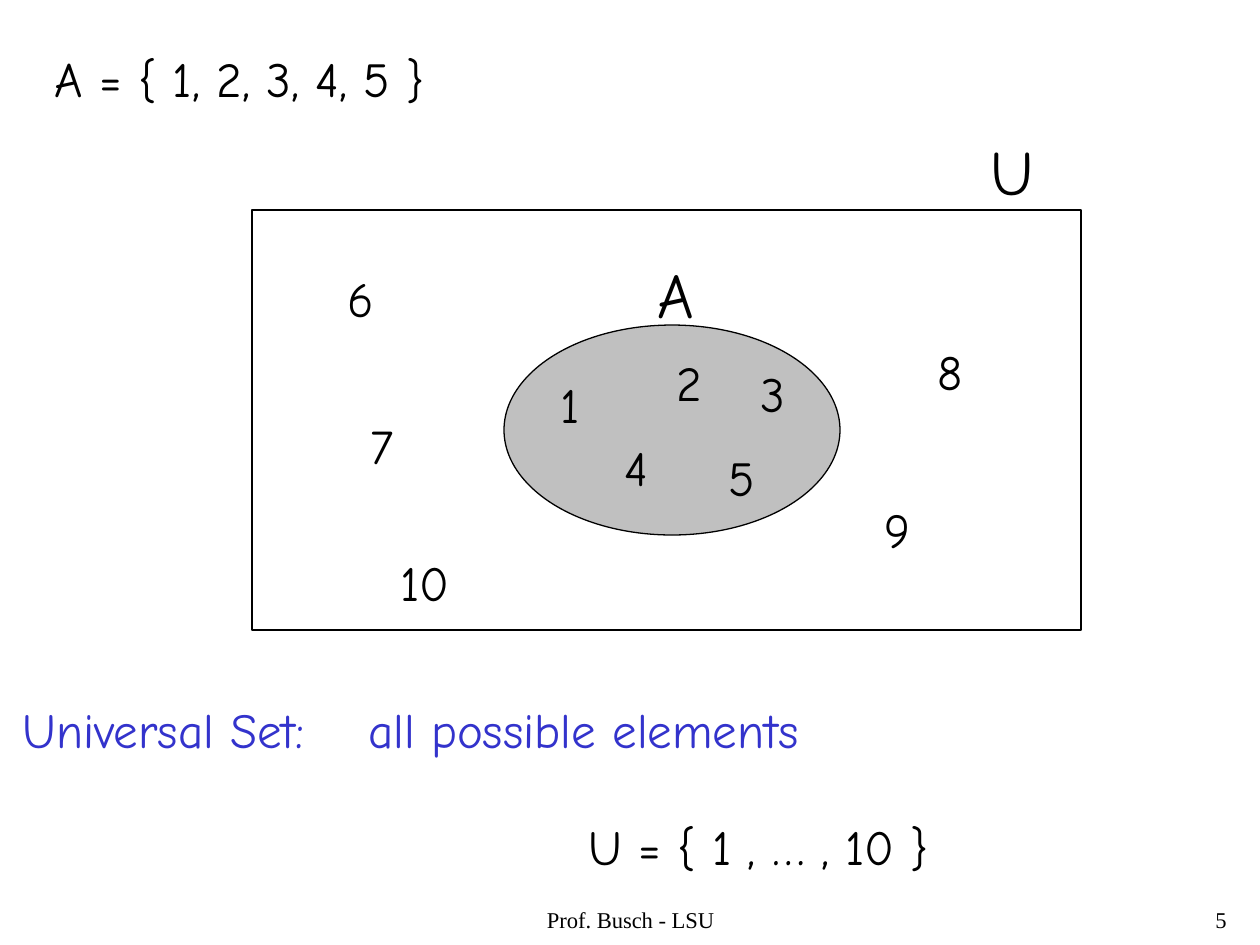
from lxml import etree
from pptx import Presentation
from pptx import util as u
from pptx.dml.color import RGBColor
from pptx.enum import shapes, text
from pptx.oxml.ns import qn

THEME = {
    "ink": RGBColor(0x00, 0x00, 0x00),
    "accent": RGBColor(0x33, 0x33, 0xCC),
    "set_fill": RGBColor(0xC0, 0xC0, 0xC0),
    "body_font": "Comic Neue",
    "footer_font": "Times New Roman",
    "element_size": 28,
    "label_size": 36,
    "footer_size": 12.9,
    "outline": 0.75,
}


def px(n):
    return u.Emu(round(n * 914400 / 126))


def add_text(box, words, size=THEME["element_size"], font=THEME["body_font"], wrap=False):
    """Add a text box at box (left, top, width, height in px), one paragraph per line of words."""
    frame = slide.shapes.add_textbox(*map(px, box)).text_frame
    frame.word_wrap = wrap
    frame.text = words
    for paragraph in frame.paragraphs:
        for run in paragraph.runs:
            run.font.name = font
            run.font.size = u.Pt(size)
            run.font.color.rgb = THEME["ink"]
    return frame


prs = Presentation()
prs.slide_width, prs.slide_height = px(1260), px(945)
slide = prs.slides.add_slide(prs.slide_layouts[6])

# Footer
for box, words, align in [
    ((431, 903, 399, 42), "Prof. Busch - LSU", text.PP_ALIGN.CENTER),
    ((977, 903, 262, 42), "5", text.PP_ALIGN.RIGHT),
]:
    footer = add_text(box, words, THEME["footer_size"], THEME["footer_font"], wrap=True)
    footer.paragraphs[0].alignment = align
    footer.paragraphs[0].line_spacing = 0.9

# Set definitions
add_text((42, 42, 1134, 72), "A = { 1, 2, 3, 4, 5 }", wrap=True)

universal = add_text(
    (10, 693, 1000, 189),
    "Universal Set:\tall possible elements\nU = { 1 , … , 10 }",
    wrap=True,
)
definition, members = universal.paragraphs
tabs = etree.SubElement(definition._p.get_or_add_pPr(), qn("a:tabLst"))
etree.SubElement(tabs, qn("a:tab"), pos=str(px(346)), algn="l")
for run in definition.runs:
    run.font.color.rgb = THEME["accent"]
members._p.get_or_add_pPr().set("marL", str(px(566)))
members.space_before = u.Pt(33.5)

# Venn diagram
set_a = slide.shapes.add_shape(shapes.MSO_SHAPE.OVAL, px(504), px(325), px(336), px(210))
set_a.fill.solid()
set_a.fill.fore_color.rgb = THEME["set_fill"]
universe = slide.shapes.add_shape(shapes.MSO_SHAPE.RECTANGLE, px(252), px(210), px(829), px(420))
universe.fill.background()
for outline in (set_a, universe):
    outline.shadow.inherit = False
    outline.line.color.rgb = THEME["ink"]
    outline.line.width = u.Pt(THEME["outline"])

for name, left, top, width in [("A", 645, 249, 62), ("U", 978, 126, 68)]:
    add_text((left, top, width, 88), name, THEME["label_size"])

for element, left, top, width in [
    (1, 548, 368, 44),
    (2, 664, 346, 50),
    (3, 748, 357, 49),
    (4, 612, 431, 49),
    (5, 716, 441, 52),
    (6, 335, 262, 52),
    (7, 358, 409, 48),
    (8, 925, 335, 50),
    (9, 872, 493, 50),
    (10, 388, 546, 74),
]:
    add_text((left, top, width, 72), str(element))

prs.save("out.pptx")
